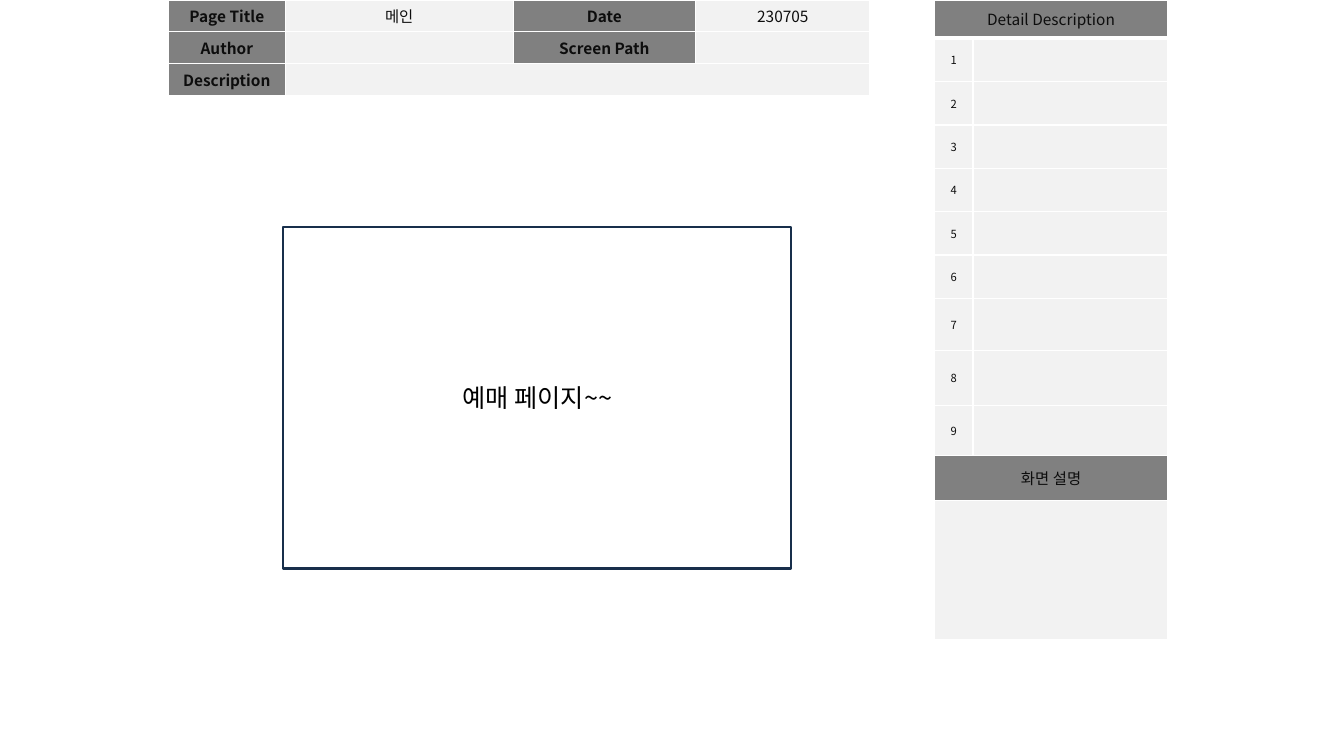
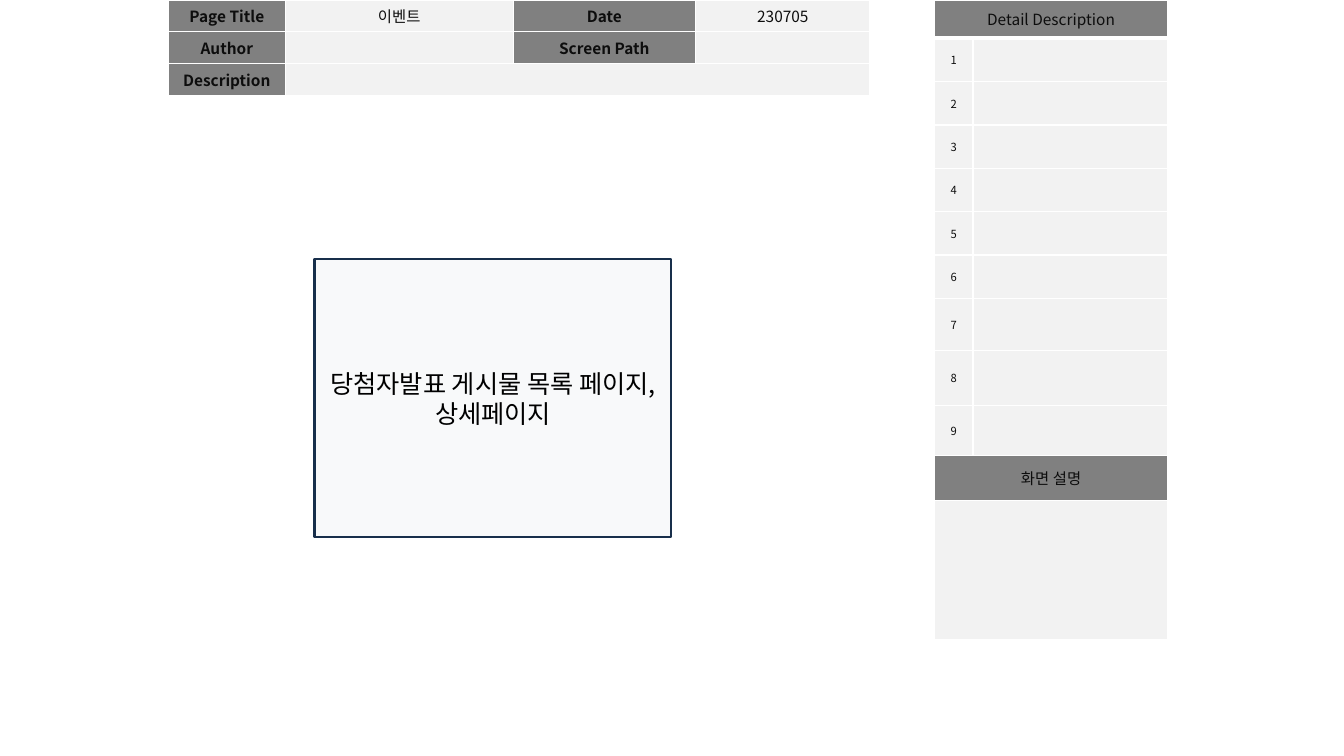
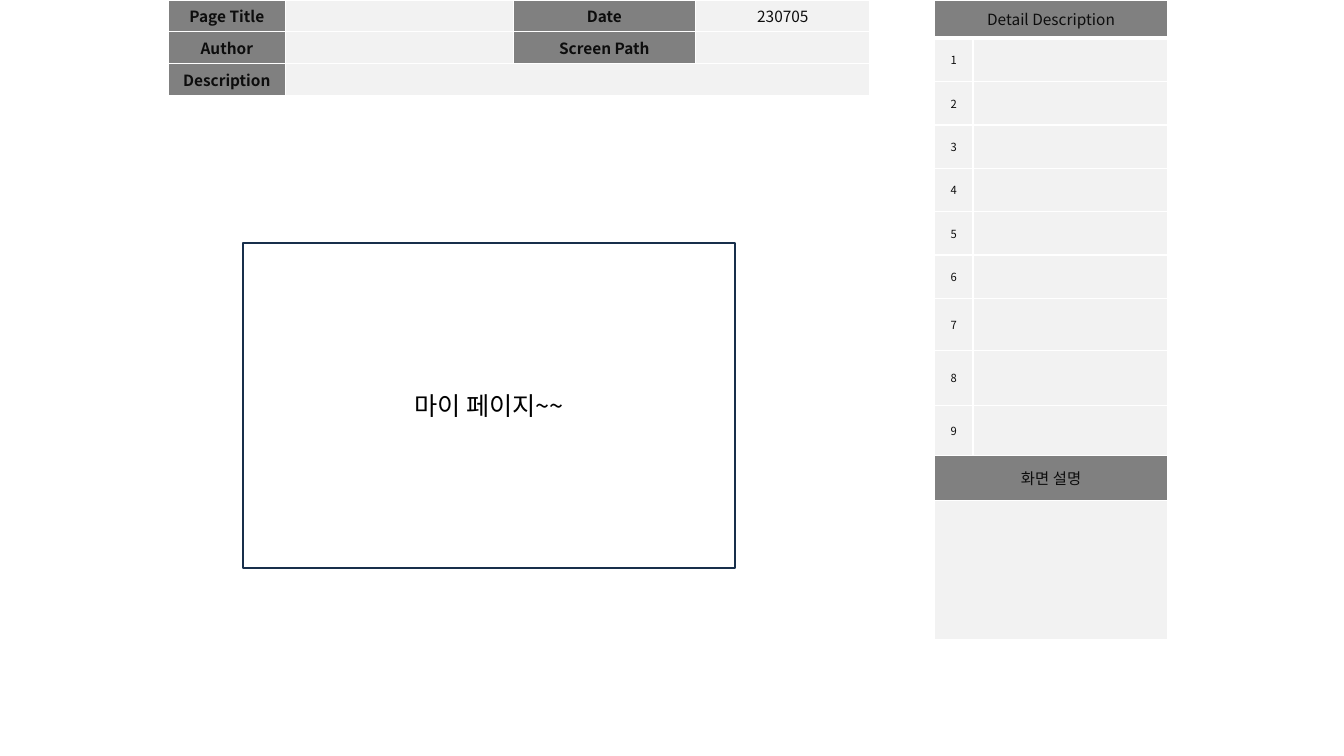
from lxml.etree import SubElement
from pptx import Presentation
from pptx.dml.color import RGBColor
from pptx.enum.shapes import MSO_SHAPE
from pptx.enum.text import MSO_ANCHOR, PP_ALIGN
from pptx.oxml.ns import qn
from pptx.util import Inches, Pt

# Shared style
FONT = "Noto Sans CJK KR"
WHITE = RGBColor(0xFF, 0xFF, 0xFF)
BLACK = RGBColor(0x00, 0x00, 0x00)
INK = RGBColor(0x0D, 0x0D, 0x0D)
HEADER_GRAY = RGBColor(0x80, 0x80, 0x80)
CELL_GRAY = RGBColor(0xF2, 0xF2, 0xF2)
PALE = RGBColor(0xF8, 0xF9, 0xFA)
NAVY = RGBColor(0x18, 0x2F, 0x4B)

# Content: page title, wireframe lines, box (left, top, width, height), box fill
PAGES = [
    ("메인", ["예매 페이지~~"], (2.81, 2.25, 5.04, 3.39), WHITE),
    ("이벤트", ["당첨자발표 게시물 목록 페이지,", "상세페이지"],
     (3.12, 2.57, 3.54, 2.76), PALE),
    ("", ["마이 페이지~~"], (2.41, 2.41, 4.88, 3.23), WHITE),
]
DATE = "230705"

INFO_COLUMNS = [1.16, 2.26, 1.81, 1.73]
INFO_ROWS = [0.31, 0.32, 0.32]
INFO_LABELS = {"Page Title", "Date", "Author", "Screen Path", "Description"}

DETAIL_COLUMNS = [0.38, 1.93]
DETAIL_ROWS = [0.38] + [0.43] * 6 + [0.52, 0.54, 0.5, 0.45, 1.38]
DETAIL_HEADERS = {"Detail Description", "화면 설명"}
DETAIL_TEXT = (
    [["Detail Description", ""]]
    + [[str(number), ""] for number in range(1, 10)]
    + [["화면 설명", ""], ["", ""]]
)


def style_paragraph(paragraph, size, color, bold=False):
    paragraph.alignment = PP_ALIGN.CENTER
    for run in paragraph.runs:
        run.font.size = Pt(size)
        run.font.name = FONT
        run.font.bold = bold
        run.font.color.rgb = color
        SubElement(run.font._element, qn("a:ea"), typeface=FONT)
    if not paragraph.runs:  # keeps empty cells from stretching their row
        SubElement(paragraph._p, qn("a:endParaRPr"), sz=str(size * 100))


def set_borders(cell, top, bottom):
    properties = cell._tc.get_or_add_tcPr()
    for side, points in (("L", 1), ("R", 1), ("T", top), ("B", bottom)):
        line = SubElement(properties, qn(f"a:ln{side}"), w=str(Pt(points)))
        fill = SubElement(line, qn("a:solidFill"))
        SubElement(fill, qn("a:srgbClr"), val=str(WHITE))


def add_grid(slide, left, columns, rows, texts, headers, merged_rows,
             first_merged=0, bold_headers=False, header_rule=1):
    """Add a table at the top edge of the slide."""
    table = slide.shapes.add_table(
        len(rows), len(columns), Inches(left), 0,
        Inches(sum(columns)), Inches(sum(rows))).table
    table.first_row = table.horz_banding = False
    for column, width in zip(table.columns, columns):
        column.width = Inches(width)
    for row, height in zip(table.rows, rows):
        row.height = Inches(height)

    for row_index, row_texts in enumerate(texts):
        for column_index, text in enumerate(row_texts):
            cell = table.cell(row_index, column_index)
            is_header = text in headers or (
                row_index in merged_rows and row_texts[first_merged] in headers
                and column_index >= first_merged)
            set_borders(cell, header_rule if row_index == 1 else 1,
                        header_rule if row_index == 0 else 1)
            cell.fill.solid()
            cell.fill.fore_color.rgb = HEADER_GRAY if is_header else CELL_GRAY
            cell.vertical_anchor = MSO_ANCHOR.MIDDLE
            cell.margin_top = cell.margin_bottom = Inches(0.02)
            cell.text_frame.text = text
            style_paragraph(cell.text_frame.paragraphs[0],
                            8 if text.isdigit() and len(text) == 1 else 11,
                            INK, is_header and bold_headers)
    for row_index in merged_rows:
        table.cell(row_index, first_merged).merge(
            table.cell(row_index, len(columns) - 1))


def add_wireframe(slide, lines, box, fill):
    shape = slide.shapes.add_shape(MSO_SHAPE.RECTANGLE, *map(Inches, box))
    shape.shadow.inherit = False
    shape.fill.solid()
    shape.fill.fore_color.rgb = fill
    shape.line.color.rgb = NAVY
    shape.line.width = Pt(1.5)
    frame = shape.text_frame
    frame.word_wrap = True
    frame.vertical_anchor = MSO_ANCHOR.MIDDLE
    frame.margin_left = frame.margin_right = Inches(0.05)
    frame.text = "\n".join(lines)
    for paragraph in frame.paragraphs:
        style_paragraph(paragraph, 18, BLACK)


def main():
    presentation = Presentation()
    presentation.slide_width = Inches(13.33)
    presentation.slide_height = Inches(7.5)
    for title, lines, box, fill in PAGES:
        slide = presentation.slides.add_slide(presentation.slide_layouts[6])
        # Description panel on the right
        add_grid(slide, 9.27, DETAIL_COLUMNS, DETAIL_ROWS, DETAIL_TEXT,
                 DETAIL_HEADERS, merged_rows=(0, 10, 11), header_rule=3)
        # Page information at the top
        info_text = [
            ["Page Title", title, "Date", DATE],
            ["Author", "", "Screen Path", ""],
            ["Description", "", "", ""],
        ]
        add_grid(slide, 1.67, INFO_COLUMNS, INFO_ROWS, info_text, INFO_LABELS,
                 merged_rows=(2,), first_merged=1, bold_headers=True)
        # Screen wireframe
        add_wireframe(slide, lines, box, fill)
    presentation.save("out.pptx")


if __name__ == "__main__":
    main()
